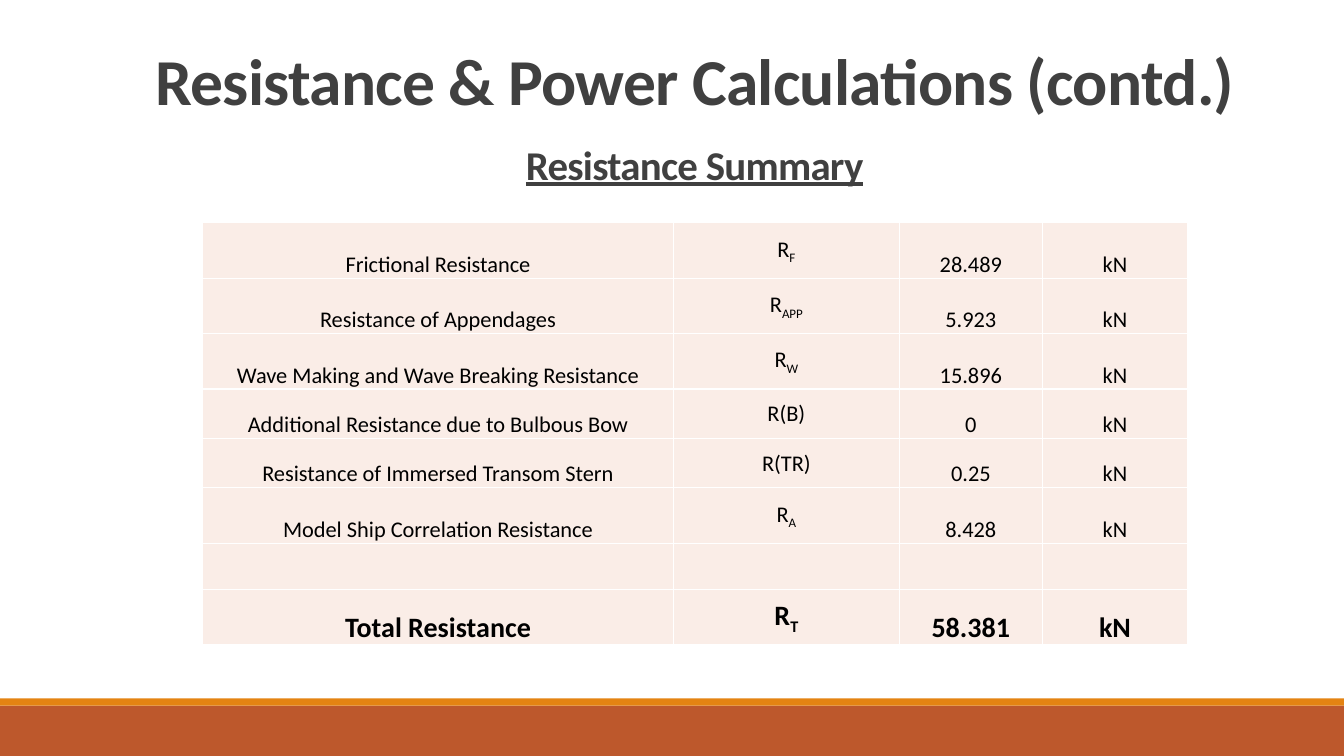
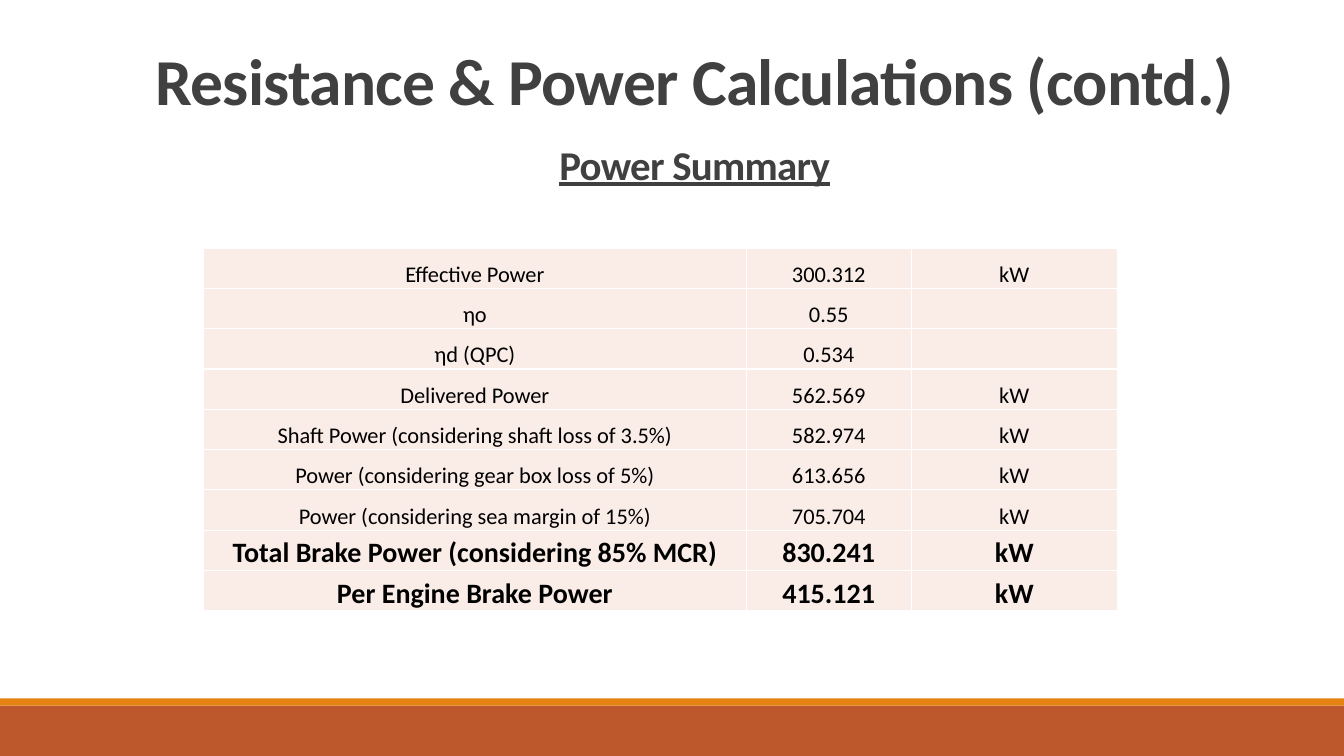
"""Builds the resistance and power summary slides."""
from dataclasses import dataclass

from lxml.etree import SubElement as Sub
from pptx import Presentation
from pptx.dml.color import RGBColor as Rgb
from pptx.enum.shapes import MSO_SHAPE as Form
from pptx.enum.text import MSO_ANCHOR as Anchor, PP_ALIGN as Align
from pptx.oxml.ns import qn
from pptx.slide import Slide
from pptx.table import _Cell as Cell
from pptx.util import Inches, Pt

COLORS = {"band": "BD582C", "strip": "E48312", "head": "404040",
          "text": "000000", "cell": "FAEDE7", "line": "FFFFFF"}
FONT = "Calibri"
TITLE = "Resistance & Power Calculations (contd.)"


@dataclass
class Band:
    top: float
    height: float
    color: str


@dataclass
class Head:
    top: float
    size: float
    under: bool


@dataclass
class Sheet:
    name: str
    left: float
    top: float
    cols: list[float]
    heights: list[float]
    rows: list[tuple[str, ...]]
    totals: int
    middle: int | None = None


BANDS = [Band(7, 0.5, "band"), Band(6.93, 0.07, "strip")]
MAIN = Head(0.47, 46.8, False)
LOWER = Head(1.41, 29.2, True)

SHEETS = [
    Sheet("Resistance Summary", 2.01, 2.21, [4.67, 2.24, 1.42, 1.44],
          [0.55, 0.55, 0.55, 0.49, 0.49, 0.55, 0.46, 0.55],
          [("Frictional Resistance", "R_F", "28.489", "kN"),
           ("Resistance of Appendages", "R_APP", "5.923", "kN"),
           ("Wave Making and Wave Breaking Resistance", "R_W", "15.896", "kN"),
           ("Additional Resistance due to Bulbous Bow", "R(B)", "0", "kN"),
           ("Resistance of Immersed Transom Stern", "R(TR)", "0.25", "kN"),
           ("Model Ship Correlation Resistance", "R_A", "8.428", "kN"),
           ("", "", "", ""),
           ("Total Resistance", "R_T", "58.381", "kN")],
          totals=1, middle=1),
    Sheet("Power Summary", 2.02, 2.46, [5.38, 1.64, 2.04], [0.4] * 9,
          [("Effective Power", "300.312", "kW"),
           ("ηo", "0.55", ""),
           ("ηd (QPC)", "0.534", ""),
           ("Delivered Power", "562.569", "kW"),
           ("Shaft Power (considering shaft loss of 3.5%)", "582.974", "kW"),
           ("Power (considering gear box loss of 5%)", "613.656", "kW"),
           ("Power (considering sea margin of 15%)", "705.704", "kW"),
           ("Total Brake Power (considering 85% MCR)", "830.241", "kW"),
           ("Per Engine Brake Power", "415.121", "kW")],
          totals=2),
]


def tint(name: str) -> Rgb:
    return Rgb.from_string(COLORS[name])


def add_run(para, text: str, size: float, color: str, bold: bool):
    run = para.add_run()
    run.text = text
    font = run.font
    font.name, font.size, font.bold = FONT, Pt(size), bold
    font.color.rgb = tint(color)
    return run


def add_band(slide: Slide, band: Band) -> None:
    shape = slide.shapes.add_shape(Form.RECTANGLE, 0, Inches(band.top),
                                   Inches(13.33), Inches(band.height))
    shape.shadow.inherit = False
    shape.fill.solid()
    shape.fill.fore_color.rgb = tint(band.color)
    shape.line.fill.background()


def add_head(slide: Slide, text: str, head: Head) -> None:
    box = slide.shapes.add_textbox(Inches(1.39), Inches(head.top),
                                   Inches(11), Inches(1.59))
    frame = box.text_frame
    frame.word_wrap = True
    para = frame.paragraphs[0]
    para.alignment, para.line_spacing = Align.CENTER, 0.85
    run = add_run(para, text, head.size, "head", True)
    run.font.underline = head.under
    run.font._element.set("spc", "-50")


def add_lines(cell: Cell) -> None:
    props = cell._tc.get_or_add_tcPr()
    for side in ("lnL", "lnR", "lnT", "lnB"):
        line = Sub(props, qn(f"a:{side}"), w=str(Pt(1)))
        fill = Sub(line, qn("a:solidFill"))
        Sub(fill, qn("a:srgbClr"), val=COLORS["line"])


def fill_cell(cell: Cell, text: str, total: bool, middle: bool) -> None:
    add_lines(cell)
    cell.fill.solid()
    cell.fill.fore_color.rgb = tint("cell")
    cell.margin_left = cell.margin_right = cell.margin_top = Inches(0.01)
    cell.margin_bottom = 0
    cell.vertical_anchor = Anchor.MIDDLE if middle else Anchor.BOTTOM
    para = cell.text_frame.paragraphs[0]
    para.alignment = Align.CENTER
    size = 20 if total else 16
    base, _, sub = text.partition("_")
    if base:
        add_run(para, base, size, "text", total)
    if sub:
        run = add_run(para, sub, size, "text", total)
        run.font._element.set("baseline", "-25000")


def add_sheet(slide: Slide, sheet: Sheet) -> None:
    frame = slide.shapes.add_table(
        len(sheet.rows), len(sheet.cols), Inches(sheet.left),
        Inches(sheet.top), Inches(sum(sheet.cols)), Inches(sum(sheet.heights)))
    table = frame.table
    table.first_row = table.horz_banding = False
    for col, width in zip(table.columns, sheet.cols):
        col.width = Inches(width)
    for row, height in zip(table.rows, sheet.heights):
        row.height = Inches(height)
    first = len(sheet.rows) - sheet.totals
    for r, texts in enumerate(sheet.rows):
        for c, text in enumerate(texts):
            fill_cell(table.cell(r, c), text, r >= first, c == sheet.middle)


def main() -> None:
    deck = Presentation()
    deck.slide_width, deck.slide_height = Inches(13.33), Inches(7.5)
    for sheet in SHEETS:
        slide = deck.slides.add_slide(deck.slide_layouts[6])
        for band in BANDS:
            add_band(slide, band)
        add_head(slide, TITLE, MAIN)
        add_head(slide, sheet.name, LOWER)
        add_sheet(slide, sheet)
    deck.save("out.pptx")


if __name__ == "__main__":
    main()
